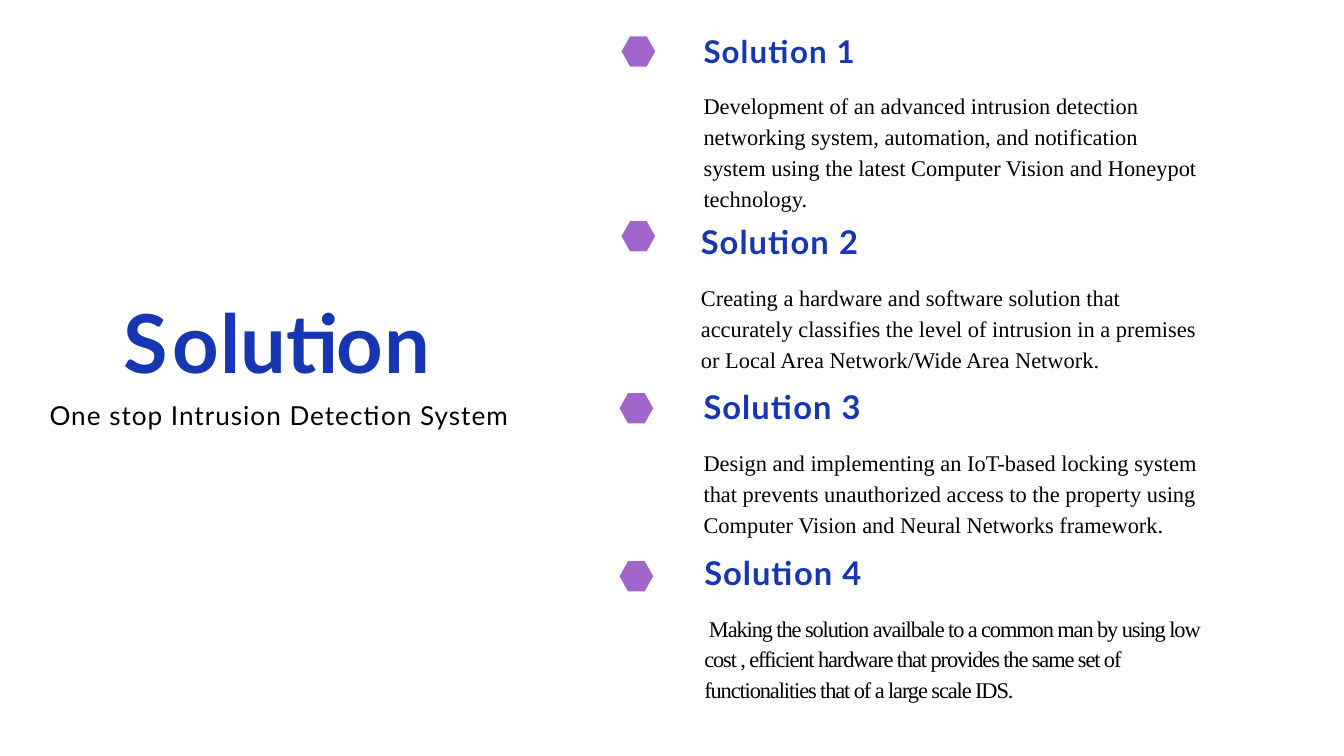
from pptx import Presentation
from pptx.dml.color import RGBColor
from pptx.enum.shapes import MSO_SHAPE
from pptx.enum.text import MSO_ANCHOR, MSO_AUTO_SIZE, PP_ALIGN
from pptx.util import Inches, Pt

HEXAGON = MSO_SHAPE.HEXAGON
TOP = MSO_ANCHOR.TOP
NO_AUTOFIT = MSO_AUTO_SIZE.NONE
LEFT, JUSTIFY = PP_ALIGN.LEFT, PP_ALIGN.JUSTIFY

BLUE, BLACK, PURPLE = "1736B1", "000000", "A066CB"
HEADING_FONT, BODY_FONT = "Lato", "Times New Roman"
LINE_SPACING = 1.15
MARKER_SIZE = (0.5, 0.45)

TITLE = [("S", 4.7), ("o", 1.6), ("l", 0.1), ("u", -1.5),
         ("ti", -1.4), ("o", 1.6), ("n", -1)]
SUBTITLE = [("One stop Intrusion Detection System", 1.1)]

SOLUTIONS = [
    dict(box=(10.46, 0.47, 7.4, 2.71), marker=(9.25, 0.54), size=33.5,
         heading=[("Solution ", 1.2), ("1", -3.6)], gap=19.6, indent=0.01,
         body=[("Development of an advanced intrusion detection networking system, "
                "automation, and notification system using the latest Computer Vision "
                "and Honeypot technology.", 0)]),
    dict(box=(10.42, 3.29, 7.66, 2.28), marker=(9.25, 3.29), size=35,
         heading=[("Solution ", 1.1), ("2", -2.2)], gap=20.4, indent=0.01,
         body=[("Creating a hardware and software solution that accurately classifies "
                "the level of intrusion in a premises or Local Area Network/Wide Area "
                "Network.", 0)]),
    dict(box=(10.46, 5.75, 7.65, 2.28), marker=(9.22, 5.85), size=35,
         heading=[("Solution ", 1.1), ("3", -2.1)], gap=20.4, indent=0.01,
         body=[("Design and implementing an IoT-based locking system that prevents "
                "unauthorized access to the property using Computer Vision and Neural "
                "Networks framework.", 0)]),
    dict(box=(10.47, 8.21, 7.65, 2.28), marker=(9.22, 8.35), size=35,
         heading=[("Solution ", 1.1), ("4", -1)], gap=20.4, indent=0.08,
         body=[("Making the solution availbale to a common man by using low cost , "
                "efficient hardware that provides the same set of functionalities that "
                "of a large scale IDS.", -1.2)]),
]


def color(value):
    return RGBColor.from_string(value)


def prepare_frame(holder, inset_top=0.01, inset_side=0):
    frame = holder.text_frame
    frame.word_wrap = True
    frame.auto_size = NO_AUTOFIT
    frame.vertical_anchor = TOP
    frame.margin_left = frame.margin_right = Inches(inset_side)
    frame.margin_top = Inches(inset_top)
    frame.margin_bottom = 0
    return frame


def write(paragraph, pieces, font, size, ink, bold=False, align=LEFT, indent=0.01):
    paragraph.alignment = align
    paragraph._p.get_or_add_pPr().set("marL", str(Inches(0.01)))
    paragraph._p.get_or_add_pPr().set("indent", str(Inches(indent - 0.01)))
    paragraph.font.name = font
    paragraph.font.size = Pt(size)
    paragraph.font.bold = bold
    paragraph.font.color.rgb = color(ink)
    for words, tracking in pieces:
        run = paragraph.add_run()
        run.text = words
        run.font.name = font
        run.font.size = Pt(size)
        run.font.bold = bold
        run.font.color.rgb = color(ink)
        run._r.get_or_add_rPr().set("spc", str(round(tracking * 100)))


def add_solution(slide, solution):
    holder = slide.shapes.add_textbox(*map(Inches, solution["box"]))
    frame = prepare_frame(holder)
    write(frame.paragraphs[0], solution["heading"], HEADING_FONT,
          solution["size"], BLUE, bold=True)
    body = frame.add_paragraph()
    body.line_spacing = LINE_SPACING
    body.space_before = Pt(solution["gap"])
    write(body, solution["body"], BODY_FONT, 24, BLACK, indent=solution["indent"])

    marker = slide.shapes.add_shape(
        HEXAGON, *map(Inches, solution["marker"] + MARKER_SIZE))
    marker.adjustments[0] = 0.28
    marker.shadow.inherit = False
    marker.fill.solid()
    marker.fill.fore_color.rgb = color(PURPLE)
    marker.line.fill.background()


def main():
    deck = Presentation()
    deck.slide_width, deck.slide_height = Inches(20), Inches(11.25)
    slide = deck.slides.add_slide(deck.slide_layouts[5])

    title = slide.shapes.title
    title.left, title.top, title.width, title.height = map(
        Inches, (1.83, 4.34, 4.67, 1.48))
    write(prepare_frame(title).paragraphs[0], TITLE, HEADING_FONT, 87, BLUE, bold=True)

    subtitle = slide.shapes.add_textbox(*map(Inches, (0.63, 5.82, 7.63, 0.64)))
    tagline = prepare_frame(subtitle, 0.05, 0.1).paragraphs[0]
    tagline.line_spacing = LINE_SPACING
    write(tagline, SUBTITLE, HEADING_FONT, 28, BLACK, align=JUSTIFY)

    for solution in SOLUTIONS:
        add_solution(slide, solution)
    deck.save("out.pptx")


if __name__ == "__main__":
    main()
